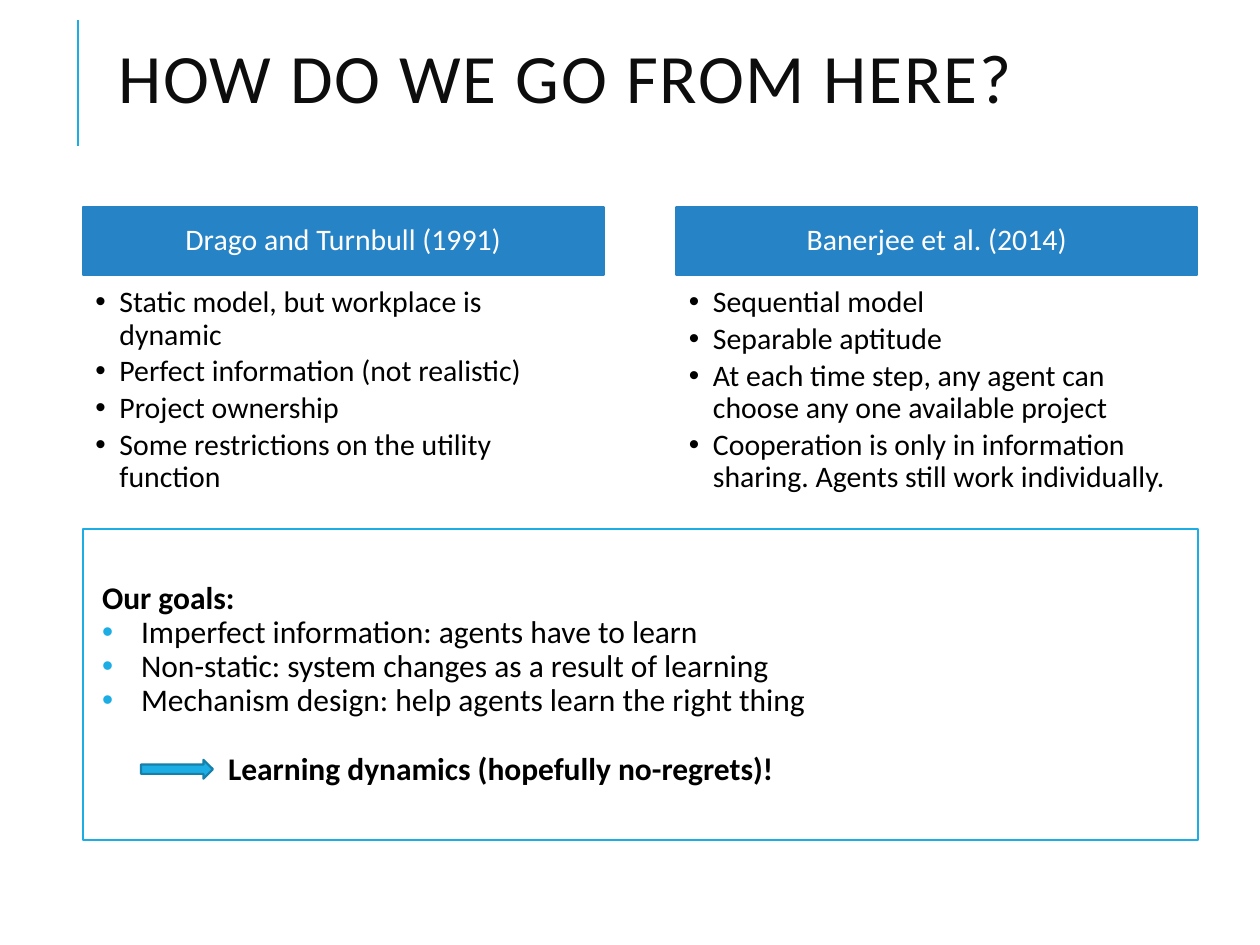
import pptx
import pptx.util
import pptx.dml.color
import pptx.enum.shapes
import pptx.enum.text
import pptx.oxml
import pptx.oxml.xmlchemy
import pptx.oxml.ns

Inches, Pt = pptx.util.Inches, pptx.util.Pt
Shape = pptx.enum.shapes.MSO_SHAPE
Align = pptx.enum.text.PP_ALIGN
Anchor = pptx.enum.text.MSO_ANCHOR

TITLE = "HOW DO WE GO FROM HERE?"
PAPERS = [
    ("Drago and Turnbull (1991)", [
        "Static model, but workplace is dynamic",
        "Perfect information (not realistic)",
        "Project ownership",
        "Some restrictions on the utility function",
    ]),
    ("Banerjee et al. (2014)", [
        "Sequential model",
        "Separable aptitude",
        "At each time step, any agent can choose any one available project",
        "Cooperation is only in information sharing. Agents still work individually.",
    ]),
]
HEAD = "Our goals:"
GOALS = [
    "Imperfect information: agents have to learn",
    "Non-static: system changes as a result of learning",
    "Mechanism design: help agents learn the right thing",
]
RESULT = "Learning dynamics (hopefully no-regrets)!"

COLORS = {"accent": "1CADE4", "head": "2683C6", "edge": "1580A9",
          "title": "0D0D0D", "text": "000000", "white": "FFFFFF"}
LEFT, TOP, WIDTH, STEP = 0.66, 1.64, 4.13, 4.71
HEAD_H, LIST_H = 0.54, 1.79


def color(name):
    return pptx.dml.color.RGBColor.from_string(COLORS[name])


def add_xml(parent, tag, **attrs):
    node = pptx.oxml.xmlchemy.OxmlElement(tag)
    for key, value in attrs.items():
        node.set(key, str(value))
    parent.append(node)
    return node


def add_box(slide, kind, place, fill, line):
    box = slide.shapes.add_shape(kind, *map(Inches, place))
    box.shadow.inherit = False
    box.fill.solid()
    box.fill.fore_color.rgb = color(fill)
    box.line.color.rgb = color(line)
    box.line.width = Pt(1.25)
    return box


def set_frame(frame, insets, anchor):
    frame.word_wrap = True
    frame.vertical_anchor = anchor
    (frame.margin_left, frame.margin_top,
     frame.margin_right, frame.margin_bottom) = map(Inches, insets)


def add_text(frame, text, size, ink="text", bold=False, align=Align.LEFT,
             spacing=0.9, before=0, after=0, indent=0, bullet=None):
    para = frame.paragraphs[0]
    if para.runs:
        para = frame.add_paragraph()
    para.add_run().text = text
    para.alignment = align
    para.line_spacing = spacing
    para.space_before, para.space_after = Pt(before), Pt(after)
    props = para._p.get_or_add_pPr()
    props.set("marL", str(Inches(indent)))
    if bullet:
        props.set("indent", str(-Inches(indent)))
        add_xml(add_xml(props, "a:buClr"), "a:srgbClr", val=COLORS[bullet])
        add_xml(props, "a:buFont", typeface="Arial")
        add_xml(props, "a:buChar", char="•")
    font = para.font
    font.name, font.size, font.bold = "Calibri", Pt(size), bold
    font.color.rgb = color(ink)
    return para


def add_title(slide):
    rule = slide.shapes.add_connector(
        pptx.enum.shapes.MSO_CONNECTOR.STRAIGHT,
        *map(Inches, (0.62, 1.16, 0.62, 0.16)))
    rule.line.color.rgb = color("accent")
    rule.line.width = Pt(1.5)
    add_xml(rule._element.spPr, "a:effectLst")
    frame = slide.shapes.add_textbox(
        *map(Inches, (0.84, 0.33, 7.97, 0.66))).text_frame
    set_frame(frame, (0.1, 0.05, 0.1, 0.05), Anchor.MIDDLE)
    para = add_text(frame, TITLE, 39.6, "title", spacing=0.8)
    para.runs[0]._r.get_or_add_rPr().set("spc", "100")


def add_paper(slide, left, name, points):
    head = add_box(slide, Shape.RECTANGLE, (left, TOP, WIDTH, HEAD_H),
                   "head", "head").text_frame
    set_frame(head, (0.13, 0.08, 0.13, 0.08), Anchor.MIDDLE)
    add_text(head, name, 17, "white", align=Align.CENTER)
    body = slide.shapes.add_textbox(
        *map(Inches, (left, TOP + HEAD_H, WIDTH, LIST_H))).text_frame
    set_frame(body, (0.1, 0.1, 0.13, 0.15), Anchor.TOP)
    for point in points:
        add_text(body, point, 17, after=2.6, indent=0.19, bullet="text")


def add_goals(slide):
    frame = add_box(slide, Shape.RECTANGLE, (LEFT, 4.2, 8.85, 2.47),
                    "white", "accent").text_frame
    set_frame(frame, (0.15, 0.05, 0.15, 0.05), Anchor.MIDDLE)
    add_text(frame, HEAD, 18, bold=True)
    for goal in GOALS:
        add_text(frame, goal, 18, indent=0.31, bullet="accent")
    add_text(frame, RESULT, 18, bold=True, before=19.5, indent=1)
    add_box(slide, Shape.RIGHT_ARROW, (1.12, 6.03, 0.57, 0.15),
            "accent", "edge")


def main():
    deck = pptx.Presentation()
    deck.slide_width, deck.slide_height = Inches(10), Inches(7.5)
    slide = deck.slides.add_slide(deck.slide_layouts[6])
    add_title(slide)
    for col, (name, points) in enumerate(PAPERS):
        add_paper(slide, LEFT + col * STEP, name, points)
    add_goals(slide)
    deck.save("out.pptx")


if __name__ == "__main__":
    main()
